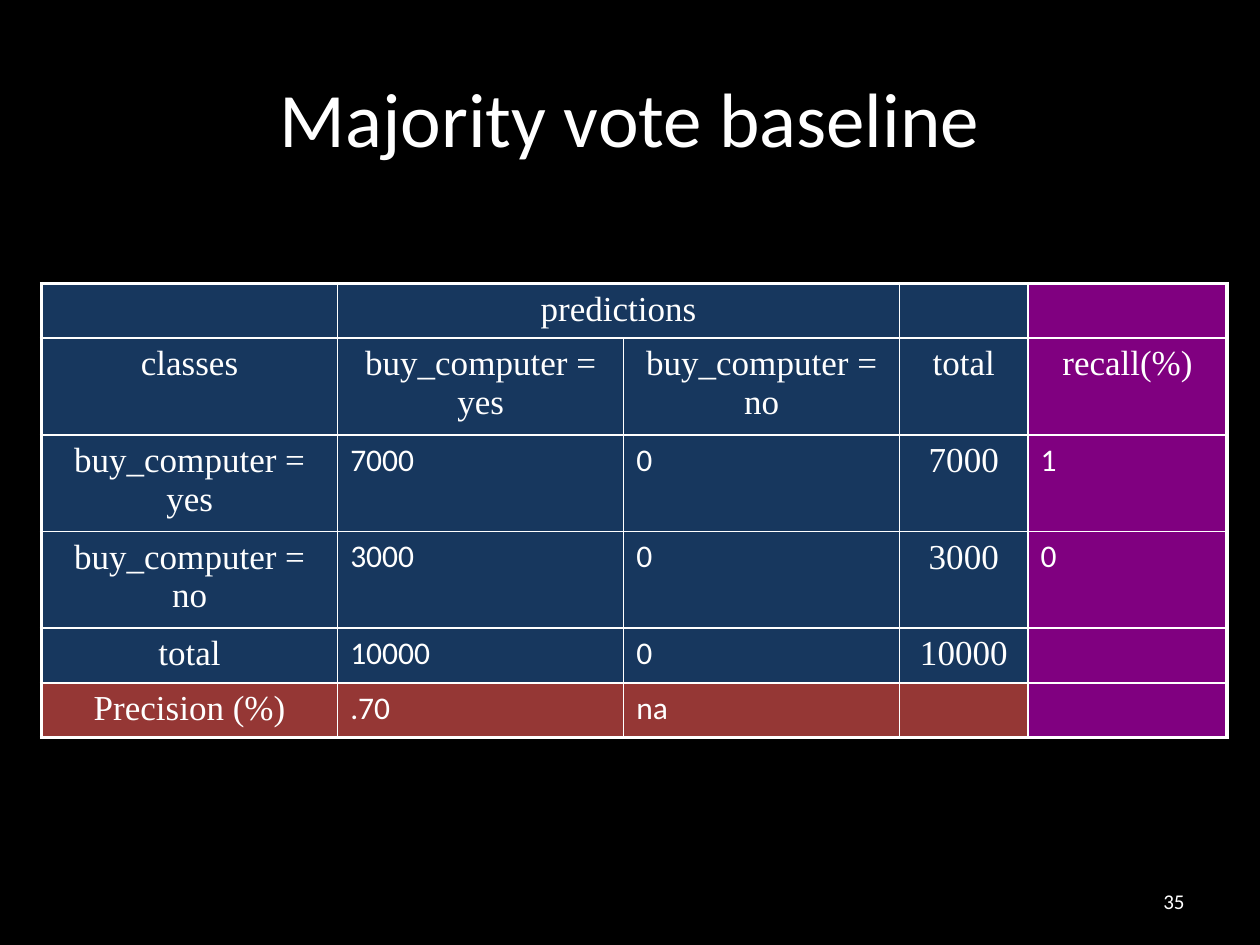
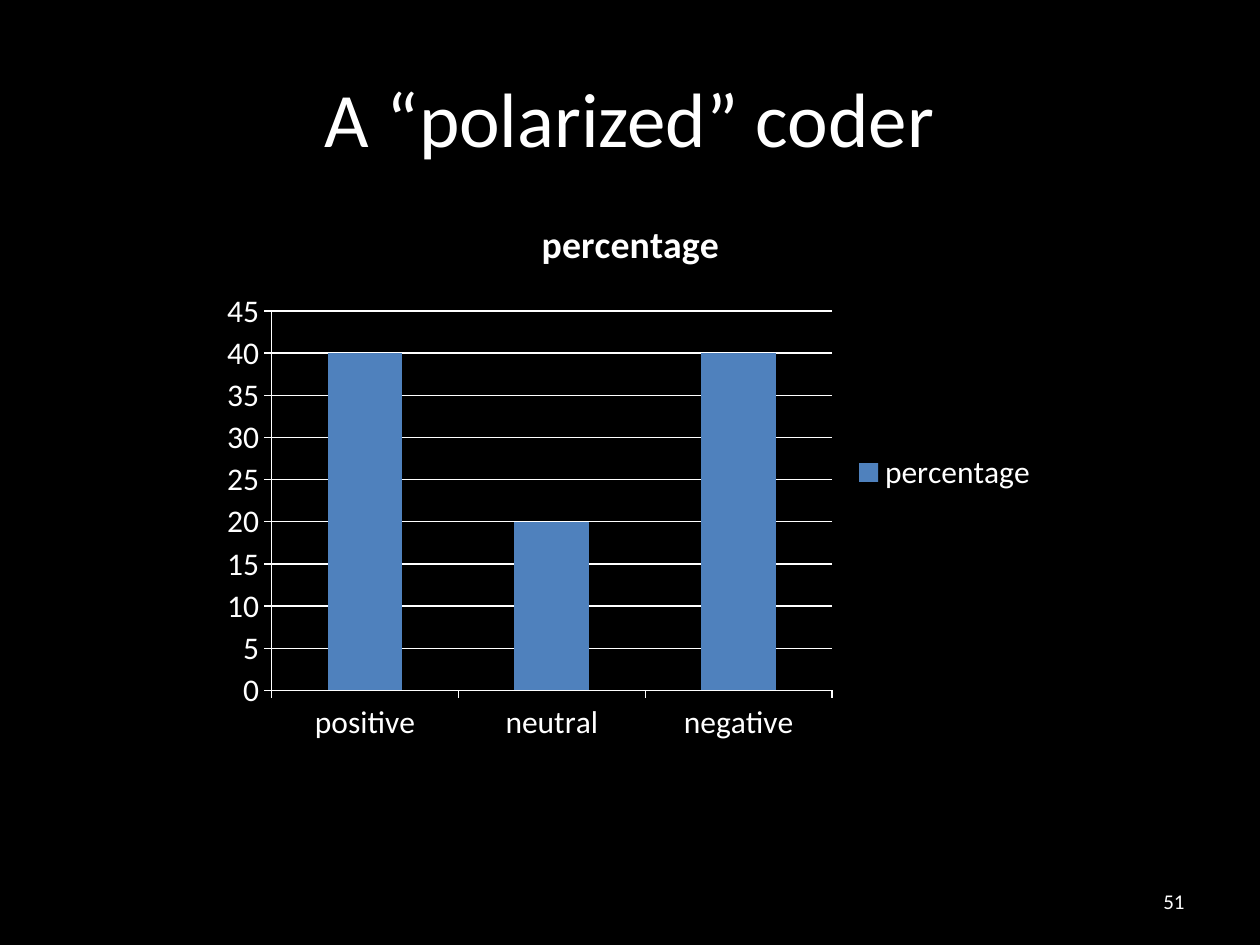
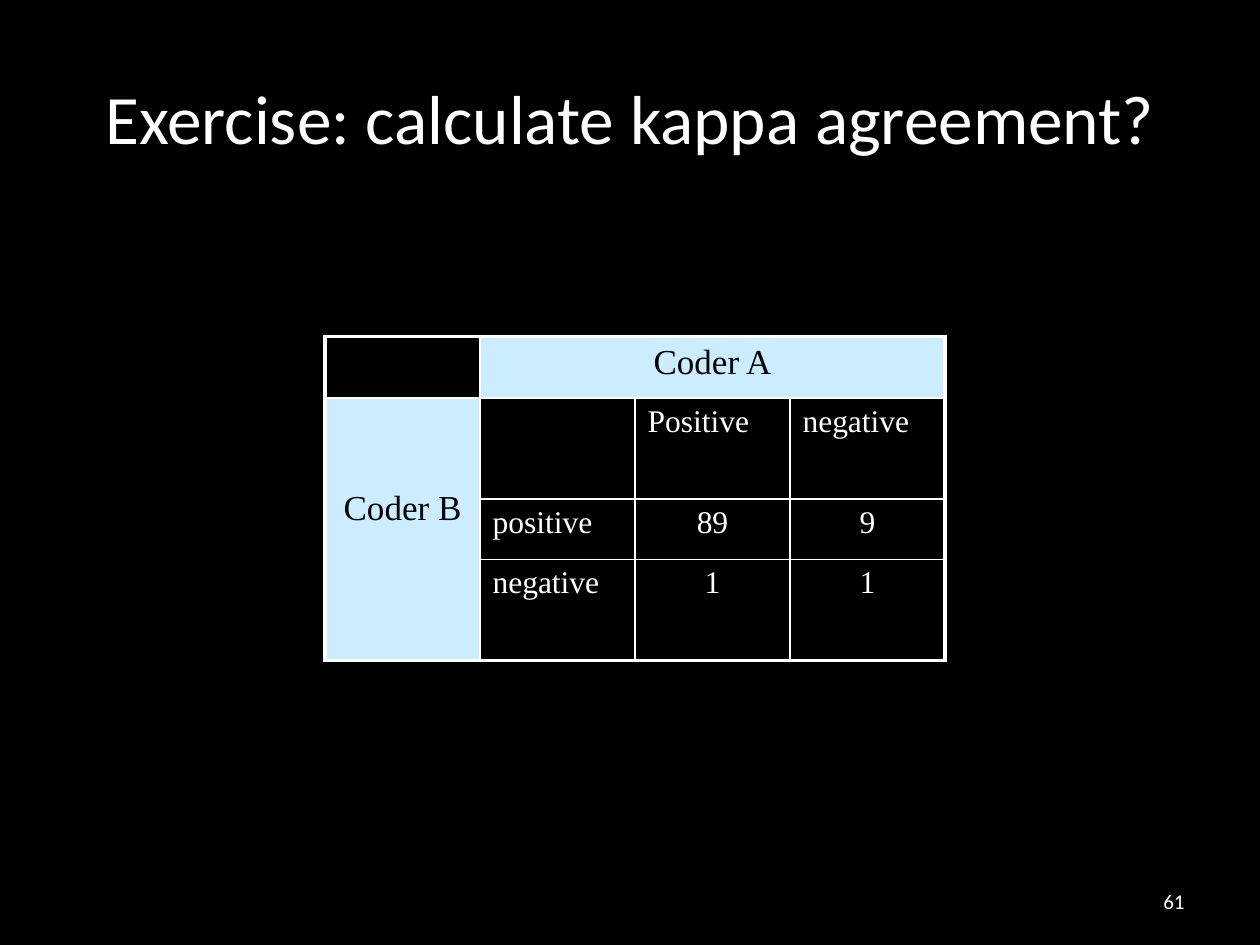
"""Build three slides on classifier baselines and coder agreement."""
from dataclasses import dataclass

from lxml import etree
from pptx import Presentation
from pptx import util as u
from pptx.chart.data import CategoryChartData
from pptx.dml.color import RGBColor
from pptx.enum import chart as ch, text
from pptx.oxml import ns

LEFT, CENTER, RIGHT = text.PP_ALIGN.LEFT, text.PP_ALIGN.CENTER, text.PP_ALIGN.RIGHT


@dataclass(frozen=True)
class Theme:
    """Colours, fonts and point sizes shared by the slides."""
    back: str = "000000"
    ink: str = "FFFFFF"
    navy: str = "17375E"
    purple: str = "800080"
    brick: str = "953735"
    pale: str = "CCECFF"
    bar: str = "4F81BD"
    sans: str = "Calibri"
    serif: str = "Times New Roman"
    title: float = 44
    small_title: float = 39.6
    label: float = 20
    body: float = 18
    chart_title: float = 21.6
    number: float = 12
    outer: float = 2.25
    inner: float = 1
    axis: float = 0.75


T = Theme()


def rgb(color):
    """Turn a hex string into a colour."""
    return RGBColor.from_string(color)


def style_font(font, size, name=T.sans, color=T.ink):
    """Set size, face and colour of a font."""
    font.size, font.name = u.Pt(size), name
    font.color.rgb = rgb(color)


def write(tf, words, size, name=T.sans, color=T.ink, align=LEFT):
    """Write one run into the first paragraph of a text frame."""
    p = tf.paragraphs[0]
    p.alignment = align
    r = p.add_run()
    r.text = words
    style_font(r.font, size, name, color)


def add_text(s, box, words, size, align):
    """Add a vertically centred, wrapping text box."""
    tf = s.shapes.add_textbox(*map(u.Inches, box)).text_frame
    tf.word_wrap = True
    tf.vertical_anchor = text.MSO_ANCHOR.MIDDLE
    write(tf, words, size, align=align)


def add_slide(prs, title, number, size=T.title):
    """Add a black slide with its title and number."""
    s = prs.slides.add_slide(prs.slide_layouts[6])
    s.background.fill.solid()
    s.background.fill.fore_color.rgb = rgb(T.back)
    add_text(s, (0.5, 0.3, 9, 1.25), title, size, CENTER)
    add_text(s, (7.17, 6.95, 2.33, 0.4), number, T.number, RIGHT)
    return s


def set_borders(cell, widths):
    """Draw the left, right, top and bottom borders of a cell."""
    tc_pr = cell._tc.get_or_add_tcPr()
    for i, (side, width) in enumerate(zip("LRTB", widths)):
        ln = etree.Element(ns.qn(f"a:ln{side}"), w=str(u.Pt(width)))
        fill = etree.SubElement(ln, ns.qn("a:solidFill"))
        etree.SubElement(fill, ns.qn("a:srgbClr"), val=T.ink)
        tc_pr.insert(i, ln)


def add_table(s, left, top, cols, rows, data, merges, fill_of, style_of):
    """Add a framed table whose fills and text styles follow given rules."""
    size = (left, top, sum(cols), sum(rows))
    table = s.shapes.add_table(len(rows), len(cols), *map(u.Inches, size)).table
    table.first_row = table.horz_banding = False
    for col, width in zip(table.columns, cols):
        col.width = u.Inches(width)
    for row, height in zip(table.rows, rows):
        row.height = u.Inches(height)
    for first, last in merges:
        table.cell(*first).merge(table.cell(*last))
    for i, line in enumerate(data):
        for j, words in enumerate(line):
            cell = table.cell(i, j)
            fill = fill_of(i, j)
            if fill:
                cell.fill.solid()
                cell.fill.fore_color.rgb = rgb(fill)
            else:
                cell.fill.background()
            edges = (j == 0, j + cell.span_width == len(cols),
                     i == 0, i + cell.span_height == len(rows))
            set_borders(cell, [T.outer if e else T.inner for e in edges])
            if words:
                write(cell.text_frame, words, **style_of(i, j))
    return table


def add_column_chart(s, box, name, cats, vals):
    """Add a one-series column chart with title and legend."""
    data = CategoryChartData()
    data.categories = cats
    data.add_series(name, vals)
    chart = s.shapes.add_chart(ch.XL_CHART_TYPE.COLUMN_CLUSTERED,
                               *map(u.Inches, box), data).chart
    style_font(chart.font, T.body)
    chart.has_title = True
    write(chart.chart_title.text_frame, name, T.chart_title, align=CENTER)
    chart.chart_title.text_frame.paragraphs[0].runs[0].font.bold = True
    chart.chart_title.include_in_layout = False
    chart.has_legend = True
    chart.legend.position = ch.XL_LEGEND_POSITION.RIGHT
    chart.legend.include_in_layout = False
    plot = chart.plots[0]
    plot.vary_by_categories = False
    plot.gap_width = 150
    fill = plot.series[0].format.fill
    fill.solid()
    fill.fore_color.rgb = rgb(T.bar)
    chart.value_axis.has_major_gridlines = True
    axes = (chart.category_axis, chart.value_axis)
    for axis in axes:
        axis.major_tick_mark = ch.XL_TICK_MARK.OUTSIDE
    for part in (*axes, chart.value_axis.major_gridlines):
        part.format.line.color.rgb = rgb(T.ink)
        part.format.line.width = u.Pt(T.axis)


def baseline_fill(i, j):
    """Colour recall purple, precision brick and the rest navy."""
    return T.purple if j == 4 else T.brick if i == 5 else T.navy


def baseline_style(i, j):
    """Set labels and totals in serif and counts in sans."""
    if i < 2 or j in (0, 3):
        return dict(size=T.label, name=T.serif, align=CENTER)
    return dict(size=T.body)


def kappa_fill(i, j):
    """Shade the two coder headings."""
    return T.pale if (i == 0) != (j == 0) else None


def kappa_style(i, j):
    """Set coder headings dark and centre the counts."""
    if i == 0 or j == 0:
        return dict(size=T.label, name=T.serif, color=T.back, align=CENTER)
    align = CENTER if i > 1 and j > 1 else LEFT
    return dict(size=T.body, name=T.serif, align=align)


def baseline_slide(prs):
    """Show the confusion table of the majority vote."""
    s = add_slide(prs, "Majority vote baseline", "35")
    yes, no = "buy_computer = yes", "buy_computer = no"
    data = [
        ["", "predictions", "", "", ""],
        ["classes", yes, no, "total", "recall(%)"],
        [yes, "7000", "0", "7000", "1"],
        [no, "3000", "0", "3000", "0"],
        ["total", "10000", "0", "10000", ""],
        ["Precision (%)", ".70", "na", "", ""],
    ]
    short, tall = 0.41, 0.72
    add_table(s, 0.33, 2.25, [2.35, 2.27, 2.19, 1.02, 1.58],
              [short] + [tall] * 3 + [short] * 2, data,
              [((0, 1), (0, 2))], baseline_fill, baseline_style)


def coder_slide(prs):
    """Show how a polarized coder spreads the labels."""
    s = add_slide(prs, "A “polarized” coder", "51")
    add_column_chart(s, (1.67, 1.53, 6.67, 4.44), "percentage",
                     ["positive", "neutral", "negative"], [40, 20, 40])


def kappa_slide(prs):
    """Show the agreement table of two coders."""
    s = add_slide(prs, "Exercise: calculate kappa agreement?", "61", T.small_title)
    data = [
        ["", "Coder A", "", ""],
        ["Coder B", "", "Positive", "negative"],
        ["", "positive", "89", "9"],
        ["", "negative", "1", "1"],
    ]
    table = add_table(s, 2.58, 2.67, [1.23] * 4, [0.49, 0.8, 0.48, 0.8], data,
                      [((0, 1), (0, 3)), ((1, 0), (3, 0))],
                      kappa_fill, kappa_style)
    table.cell(1, 0).margin_top = u.Inches(0.72)


def main():
    """Build and save the presentation."""
    prs = Presentation()
    prs.slide_width, prs.slide_height = u.Inches(10), u.Inches(7.5)
    baseline_slide(prs)
    coder_slide(prs)
    kappa_slide(prs)
    prs.save("out.pptx")


if __name__ == "__main__":
    main()
